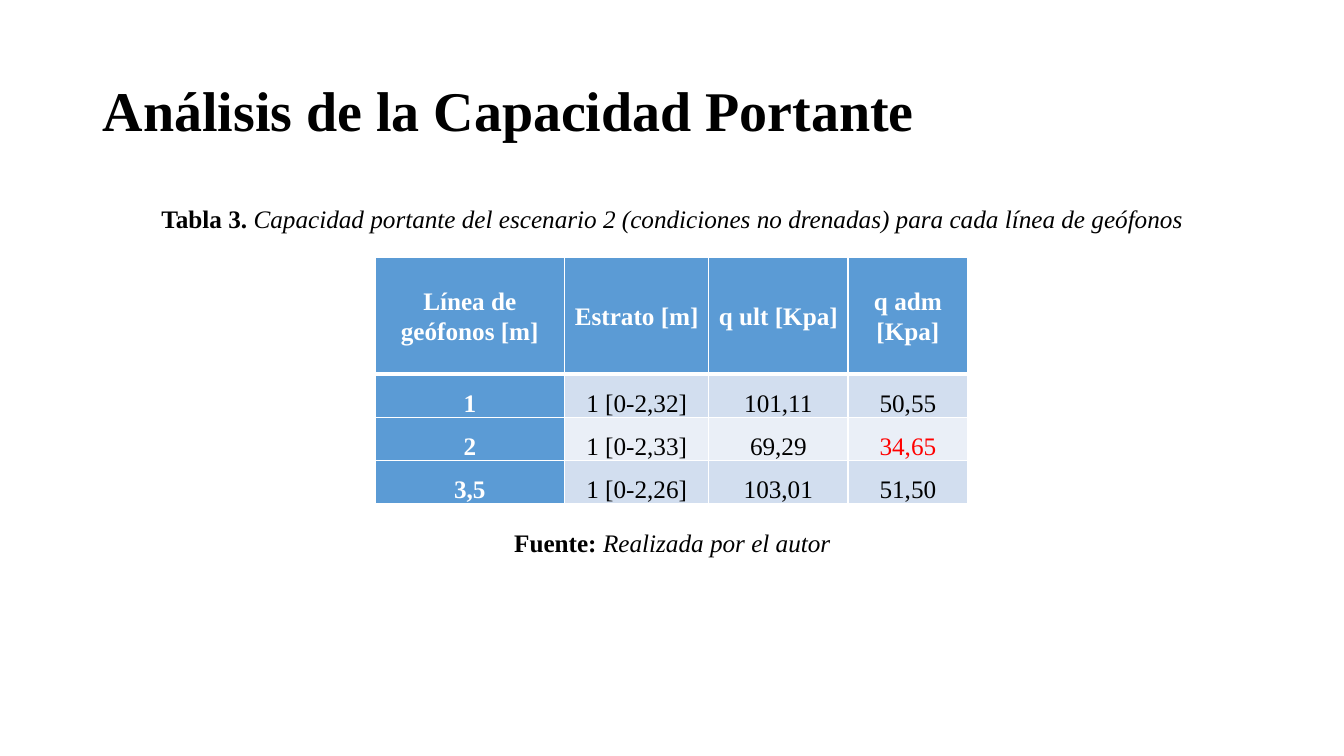
from dataclasses import dataclass

import lxml.etree
import pptx
import pptx.dml.color
import pptx.enum.text
import pptx.oxml.ns
import pptx.presentation
import pptx.slide
import pptx.table
import pptx.text.text
import pptx.util

Cm = pptx.util.Cm
Pt = pptx.util.Pt
Align = pptx.enum.text.PP_ALIGN
Anchor = pptx.enum.text.MSO_ANCHOR

FONT = "Times New Roman"
BLACK, WHITE, RED = "000000", "FFFFFF", "FF0000"
HEADER_FILL = "5B9BD5"
BAND_FILLS = ("D2DEEF", "EAEFF7")
LEFT, WIDTH = Cm(2.34), Cm(29.21)
COLUMN_WIDTHS = (4.78, 3.63, 3.51, 3.02)
HEADER_HEIGHT, ROW_HEIGHT = 2.95, 1.09
ROWS = (
    ("Línea de geófonos [m]", "Estrato [m]", "q ult [Kpa]", "q adm [Kpa]"),
    ("1", "1 [0-2,32]", "101,11", "50,55"),
    ("2", "1 [0-2,33]", "69,29", "34,65"),
    ("3,5", "1 [0-2,26]", "103,01", "51,50"),
)
CRITICAL_VALUE = "34,65"


@dataclass
class Caption:
    top: float
    label: str
    description: str


CAPTIONS = (
    Caption(5.08, "Tabla 3. ", "Capacidad portante del escenario 2 (condiciones no drenadas) "
                               "para cada línea de geófonos"),
    Caption(13.24, "Fuente: ", "Realizada por el autor"),
)


def color(value: str) -> pptx.dml.color.RGBColor:
    return pptx.dml.color.RGBColor.from_string(value)


def format_run(run: pptx.text.text._Run, size: float, text_color: str,
               bold: bool = False, italic: bool = False) -> None:
    run.font.name = FONT
    run.font.size = Pt(size)
    run.font.color.rgb = color(text_color)
    run.font.bold = bold
    run.font.italic = italic


def add_title(slide: pptx.slide.Slide) -> None:
    title = slide.shapes.title
    title.left, title.top, title.width, title.height = LEFT, Cm(1.02), WIDTH, Cm(3.68)
    frame = title.text_frame
    frame.text = "Análisis de la Capacidad Portante"
    frame.auto_size = pptx.enum.text.MSO_AUTO_SIZE.NONE
    frame.vertical_anchor = Anchor.MIDDLE
    paragraph = frame.paragraphs[0]
    paragraph.alignment = Align.LEFT
    paragraph.line_spacing = 0.9
    format_run(paragraph.runs[0], 40, BLACK, bold=True)


def add_caption(slide: pptx.slide.Slide, caption: Caption) -> None:
    frame = slide.shapes.add_textbox(LEFT, Cm(caption.top), WIDTH, Cm(1)).text_frame
    frame.word_wrap = True
    paragraph = frame.paragraphs[0]
    paragraph.alignment = Align.CENTER
    paragraph.line_spacing = 0.9
    for text, is_label in ((caption.label, True), (caption.description, False)):
        run = paragraph.add_run()
        run.text = text
        format_run(run, 18, BLACK, bold=is_label, italic=not is_label)


def set_borders(cell: pptx.table._Cell, row: int) -> None:
    """Draw white borders, with a thick rule between header and body."""
    qn = pptx.oxml.ns.qn
    properties = cell._tc.get_or_add_tcPr()
    widths = {"L": 1, "R": 1, "T": 3 if row == 1 else 1, "B": 3 if row == 0 else 1}
    for side, width in widths.items():
        line = lxml.etree.SubElement(properties, qn(f"a:ln{side}"), w=str(Pt(width)))
        fill = lxml.etree.SubElement(line, qn("a:solidFill"))
        lxml.etree.SubElement(fill, qn("a:srgbClr"), val=WHITE)


def format_cell(cell: pptx.table._Cell, row: int, column: int, text: str) -> None:
    is_header = row == 0 or column == 0
    set_borders(cell, row)
    cell.fill.solid()
    cell.fill.fore_color.rgb = color(HEADER_FILL if is_header else BAND_FILLS[(row - 1) % 2])
    cell.margin_left = cell.margin_right = Cm(0.13)
    cell.margin_top, cell.margin_bottom = Cm(0.03), Cm(0)
    cell.vertical_anchor = Anchor.MIDDLE if row == 0 else Anchor.BOTTOM
    cell.text_frame.text = text
    paragraph = cell.text_frame.paragraphs[0]
    paragraph.alignment = Align.CENTER
    paragraph.line_spacing = 1.07
    paragraph.space_after = Pt(8)
    body_color = RED if text == CRITICAL_VALUE else BLACK
    format_run(paragraph.runs[0], 18, WHITE if is_header else body_color, bold=is_header)


def add_capacity_table(slide: pptx.slide.Slide) -> None:
    heights = [HEADER_HEIGHT] + [ROW_HEIGHT] * (len(ROWS) - 1)
    table = slide.shapes.add_table(len(ROWS), len(COLUMN_WIDTHS), Cm(9.45), Cm(6.48),
                                   Cm(sum(COLUMN_WIDTHS)), Cm(sum(heights))).table
    for column, width in zip(table.columns, COLUMN_WIDTHS):
        column.width = Cm(width)
    for row, (height, texts) in enumerate(zip(heights, ROWS)):
        table.rows[row].height = Cm(height)
        for column, text in enumerate(texts):
            format_cell(table.cell(row, column), row, column, text)


def main() -> None:
    presentation = pptx.Presentation()
    presentation.slide_width, presentation.slide_height = Cm(33.87), Cm(19.05)
    slide = presentation.slides.add_slide(presentation.slide_layouts.get_by_name("Title Only"))
    add_title(slide)
    for caption in CAPTIONS:
        add_caption(slide, caption)
    add_capacity_table(slide)
    presentation.save("out.pptx")


if __name__ == "__main__":
    main()
